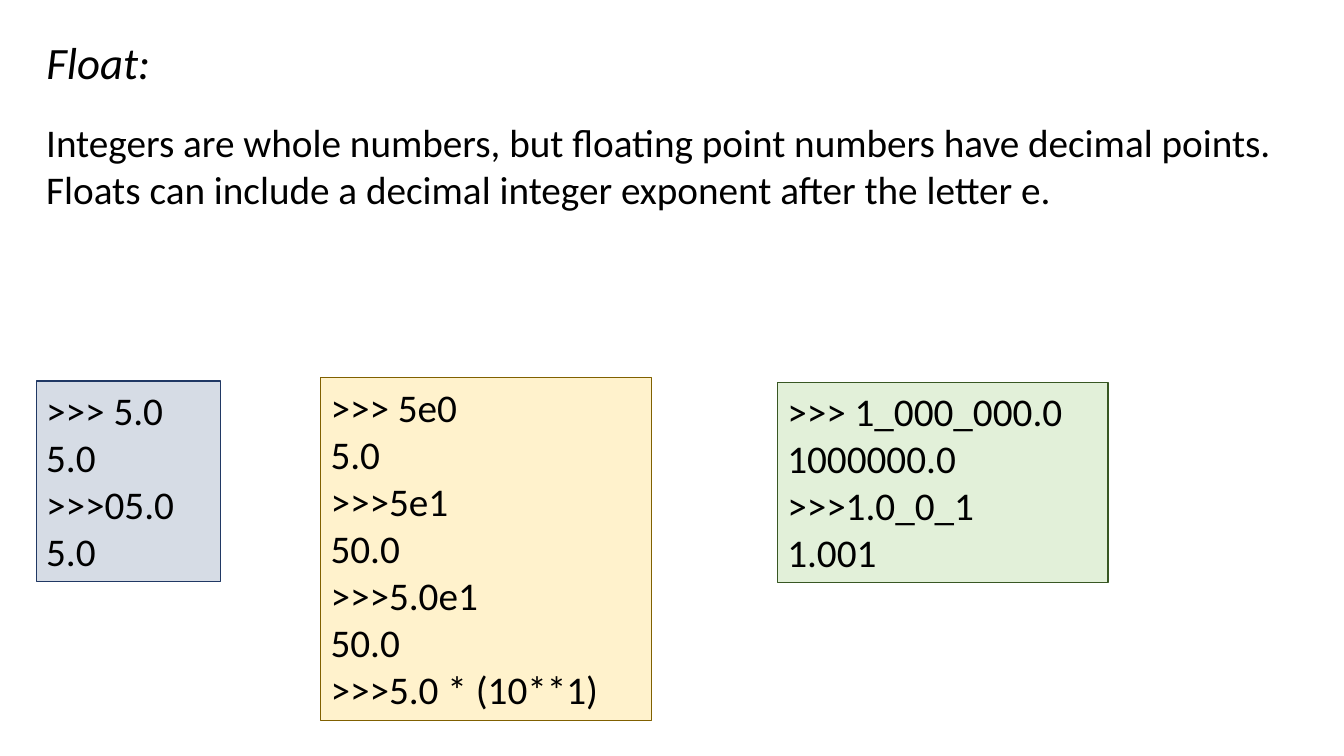
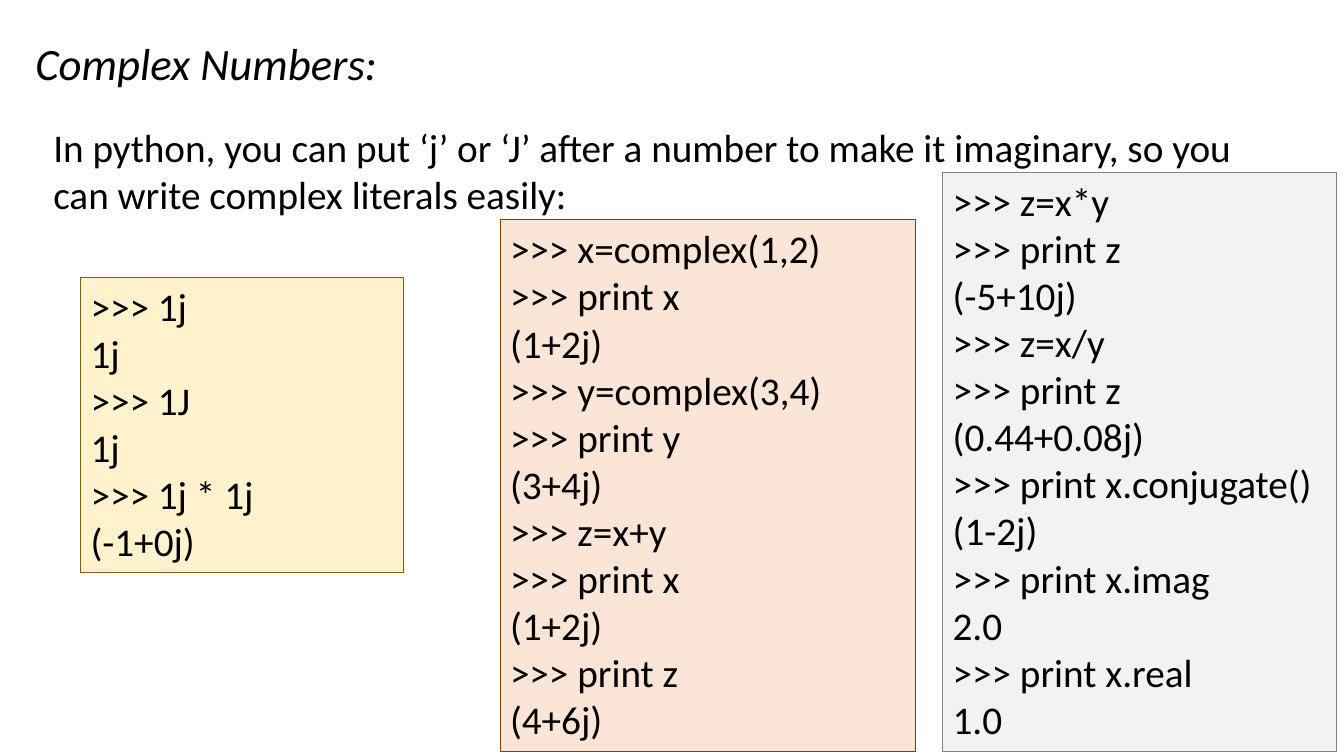
from pptx import Presentation
from pptx.dml.color import RGBColor
from pptx.enum import shapes, text
from pptx.util import Inches, Pt

FONT = "Calibri"
TITLE_SIZE, BODY_SIZE = 32, 28
LINE_HEIGHT, BOX_PADDING = 0.47, 0.11
TEXT_COLOUR = "000000"
# Each box style: fill, outline
COLOURS = {
    "blue": ("D6DCE5", "203864"),
    "yellow": ("FFF2CC", "806000"),
    "green": ("E2F0D9", "385723"),
    "orange": ("FBE5D6", "843C0B"),
    "grey": ("F2F2F2", "808080"),
}

# Title and body positions are left, top, width, height.
# Code boxes are colour, left, top, width, lines; height follows the line count.
SLIDES = [
    {
        "title": ("Float:", (0.36, 0.29, 7.01, 0.64)),
        "body": ([
            "Integers are whole numbers, but floating point numbers have decimal points.",
            "Floats can include a decimal integer exponent after the letter e.",
        ], (0.36, 1.12, 12.61, 1.04)),
        "code": [
            ("blue", 0.36, 3.78, 1.83, [">>> 5.0", "5.0", ">>>05.0", "5.0"]),
            ("yellow", 3.18, 3.75, 3.28, [
                ">>> 5e0", "5.0", ">>>5e1", "50.0", ">>>5.0e1", "50.0",
                ">>>5.0 * (10**1)",
            ]),
            ("green", 7.71, 3.79, 3.28, [
                ">>> 1_000_000.0", "1000000.0", ">>>1.0_0_1", "1.001",
            ]),
        ],
    },
    {
        "title": ("Complex Numbers:", (0.25, 0.3, 9.43, 0.64)),
        "body": ([
            "In python, you can put ‘j’ or ‘J’ after a number to make it imaginary, "
            "so you can write complex literals easily:",
        ], (0.43, 1.17, 12.29, 1.35)),
        "code": [
            ("orange", 4.96, 2.18, 4.12, [
                ">>> x=complex(1,2)", ">>> print x", "(1+2j)",
                ">>> y=complex(3,4)", ">>> print y", "(3+4j)",
                ">>> z=x+y", ">>> print x", "(1+2j)", ">>> print z", "(4+6j)",
            ]),
            ("grey", 9.35, 1.71, 3.91, [
                ">>> z=x*y", ">>> print z", "(-5+10j)",
                ">>> z=x/y", ">>> print z", "(0.44+0.08j)",
                ">>> print x.conjugate()", "(1-2j)",
                ">>> print x.imag", "2.0", ">>> print x.real", "1.0",
            ]),
            ("yellow", 0.8, 2.75, 3.2, [
                ">>> 1j", "1j", ">>> 1J", "1j", ">>> 1j * 1j", "(-1+0j)",
            ]),
        ],
    },
]


def write_lines(shape, lines, size=BODY_SIZE, italic=False):
    """Fill a shape with one left-aligned paragraph per line."""
    frame = shape.text_frame
    frame.word_wrap = True
    frame.auto_size = text.MSO_AUTO_SIZE.NONE
    frame.vertical_anchor = text.MSO_ANCHOR.TOP
    for index, line in enumerate(lines):
        paragraph = frame.add_paragraph() if index else frame.paragraphs[0]
        paragraph.alignment = text.PP_ALIGN.LEFT
        run = paragraph.add_run()
        run.text = line
        run.font.name = FONT
        run.font.size = Pt(size)
        run.font.italic = italic
        run.font.color.rgb = RGBColor.from_string(TEXT_COLOUR)


def add_title(slide, title, position):
    shape = slide.shapes.title
    shape.left, shape.top, shape.width, shape.height = map(Inches, position)
    write_lines(shape, [title], TITLE_SIZE, italic=True)


def add_body(slide, lines, position):
    write_lines(slide.shapes.add_textbox(*map(Inches, position)), lines)


def add_code_box(slide, colour, left, top, width, lines):
    height = LINE_HEIGHT * len(lines) + BOX_PADDING
    box = slide.shapes.add_shape(
        shapes.MSO_SHAPE.RECTANGLE, *map(Inches, (left, top, width, height)))
    fill, outline = COLOURS[colour]
    box.shadow.inherit = False
    box.fill.solid()
    box.fill.fore_color.rgb = RGBColor.from_string(fill)
    box.line.color.rgb = RGBColor.from_string(outline)
    box.line.width = Pt(0.75)
    write_lines(box, lines)


def main():
    presentation = Presentation()
    presentation.slide_width = Inches(13.33)
    presentation.slide_height = Inches(7.5)
    title_only = presentation.slide_layouts.get_by_name("Title Only")
    for content in SLIDES:
        slide = presentation.slides.add_slide(title_only)
        add_title(slide, *content["title"])
        add_body(slide, *content["body"])
        for box in content["code"]:
            add_code_box(slide, *box)
    presentation.save("out.pptx")


if __name__ == "__main__":
    main()
